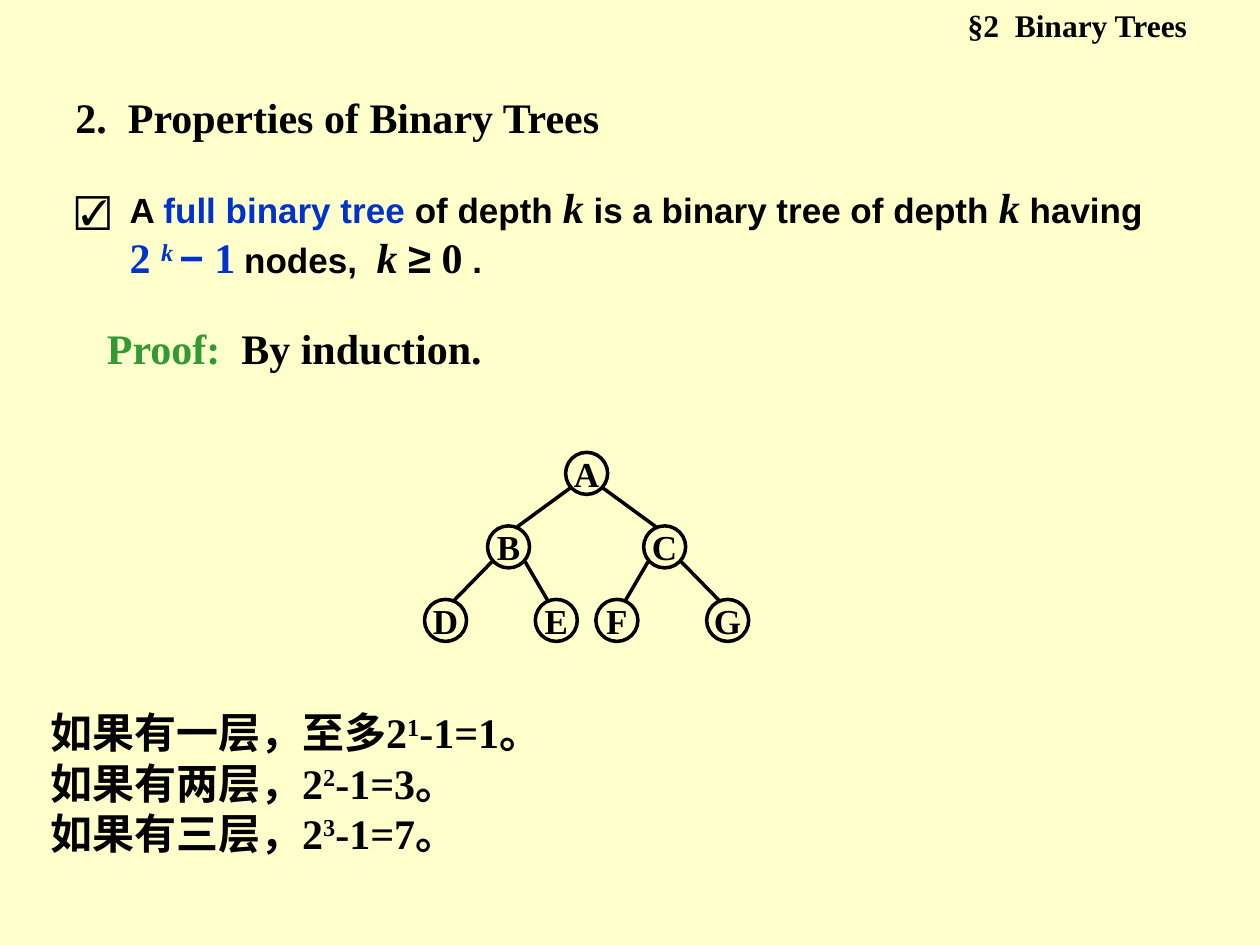
from dataclasses import dataclass

from lxml.etree import SubElement
from pptx import Presentation
from pptx.dml.color import RGBColor as RGB
from pptx.enum.shapes import MSO_CONNECTOR as CONN, MSO_SHAPE as SHAPE
from pptx.enum.text import MSO_ANCHOR as ANCHOR, MSO_AUTO_SIZE as AUTO, PP_ALIGN as ALIGN
from pptx.oxml.ns import qn
from pptx.util import Pt


@dataclass(frozen=True)
class Theme:
    paper: RGB = RGB(0xFF, 0xFF, 0xCC)
    ink: RGB = RGB(0, 0, 0)
    blue: RGB = RGB(0x00, 0x33, 0xCC)
    green: RGB = RGB(0x33, 0x99, 0x33)
    serif: str = "Times New Roman"
    sans: str = "Arial"
    header: int = 18
    body: int = 20
    large: int = 24
    line: int = 2


T = Theme()

NODE_SIZE = 24
ROW_GAP = 42
ROOT = (335.2, 270.5)
NODES = {
    "A": (0, 0),
    "B": (-44.6, 1), "C": (44.6, 1),
    "D": (-80.6, 2), "E": (-17.3, 2), "F": (17.3, 2), "G": (80.6, 2),
}
EDGES = ["AB", "AC", "BD", "BE", "CF", "CG"]
LAYERS = [("如果有一层，至多2", "1", "-1=1。"),
          ("如果有两层，2", "2", "-1=3。"),
          ("如果有三层，2", "3", "-1=7。")]


def add_run(p, text, size=T.large, font=T.serif, color=T.ink, italic=False, sup=False):
    r = p.add_run()
    r.text = text
    f = r.font
    f.size, f.name, f.bold, f.italic = Pt(size), font, True, italic
    f.color.rgb = color
    if sup:
        r._r.get_or_add_rPr().set("baseline", "30000")


def add_text(s, left, top, width, height, paragraphs, wrap=True, hanging=0):
    tf = s.shapes.add_textbox(Pt(left), Pt(top), Pt(width), Pt(height)).text_frame
    tf.word_wrap = wrap
    tf.auto_size = AUTO.SHAPE_TO_FIT_TEXT
    for i, runs in enumerate(paragraphs):
        p = tf.add_paragraph() if i else tf.paragraphs[0]
        if hanging:
            pPr = p._p.get_or_add_pPr()
            pPr.set("marL", str(Pt(hanging)))
            pPr.set("indent", str(Pt(-hanging)))
        for text, style in runs:
            add_run(p, text, **style)


def node_center(name):
    dx, level = NODES[name]
    return ROOT[0] + dx, ROOT[1] + level * ROW_GAP


def add_node(shapes, name):
    x, y = node_center(name)
    half = NODE_SIZE / 2
    sp = shapes.add_shape(SHAPE.OVAL, Pt(x - half), Pt(y - half), Pt(NODE_SIZE), Pt(NODE_SIZE))
    sp.shadow.inherit = False
    sp.fill.background()
    sp.line.color.rgb = T.ink
    sp.line.width = Pt(T.line)
    tf = sp.text_frame
    tf.word_wrap = False
    tf.vertical_anchor = ANCHOR.MIDDLE
    p = tf.paragraphs[0]
    p.alignment = ALIGN.CENTER
    add_run(p, name, T.body)


def add_edge(shapes, parent, child):
    (x1, y1), (x2, y2) = node_center(parent), node_center(child)
    side = 1 if x2 > x1 else -1
    c = shapes.add_connector(CONN.STRAIGHT, Pt(x1 + side * 9.5), Pt(y1 + 8.5),
                             Pt(x2 - side * 5), Pt(y2 - 11.5))
    c.line.color.rgb = T.ink
    c.line.width = Pt(T.line)
    SubElement(c._element.spPr, qn("a:effectLst"))


def add_tree(s):
    shapes = s.shapes.add_group_shape().shapes
    for parent, child in EDGES:
        add_edge(shapes, parent, child)
    for name in NODES:
        add_node(shapes, name)


def add_property(s):
    sans = dict(size=T.body, font=T.sans)
    var = dict(italic=True)
    blue = dict(color=T.blue)
    add_text(s, 36, 100, 636, 65, [[
        ("☑\tA ", sans), ("full binary tree", sans | blue), (" of depth ", sans),
        ("k", var), (" is a binary tree of depth ", sans), ("k", var),
        (" having ", sans), ("2 ", blue), ("k ", blue | var | dict(sup=True)),
        ("−", blue | dict(font=T.sans)), (" 1", blue), (" ", dict(size=T.body)),
        ("nodes,  ", sans), ("k ", var), ("≥", dict(font=T.sans)), (" 0", {}),
        (" .", sans),
    ]], hanging=31)


def main():
    prs = Presentation()
    prs.slide_width, prs.slide_height = Pt(720), Pt(540)
    s = prs.slides.add_slide(prs.slide_layouts[6])
    s.background.fill.solid()
    s.background.fill.fore_color.rgb = T.paper

    add_text(s, 545.8, 0, 173.5, 29, [[("§2  Binary Trees", dict(size=T.header))]])
    add_text(s, 36, 49, 348, 36, [[("2.  Properties of Binary Trees", {})]])
    add_property(s)
    add_text(s, 54, 181, 276, 36,
             [[("Proof:", dict(color=T.green)), ("  By induction.", {})]])
    add_tree(s)
    add_text(s, 21.6, 400.3, 306.7, 93.6,
             [[(start, {}), (power, dict(sup=True)), (end, {})]
              for start, power, end in LAYERS], wrap=False)
    prs.save("out.pptx")


if __name__ == "__main__":
    main()
